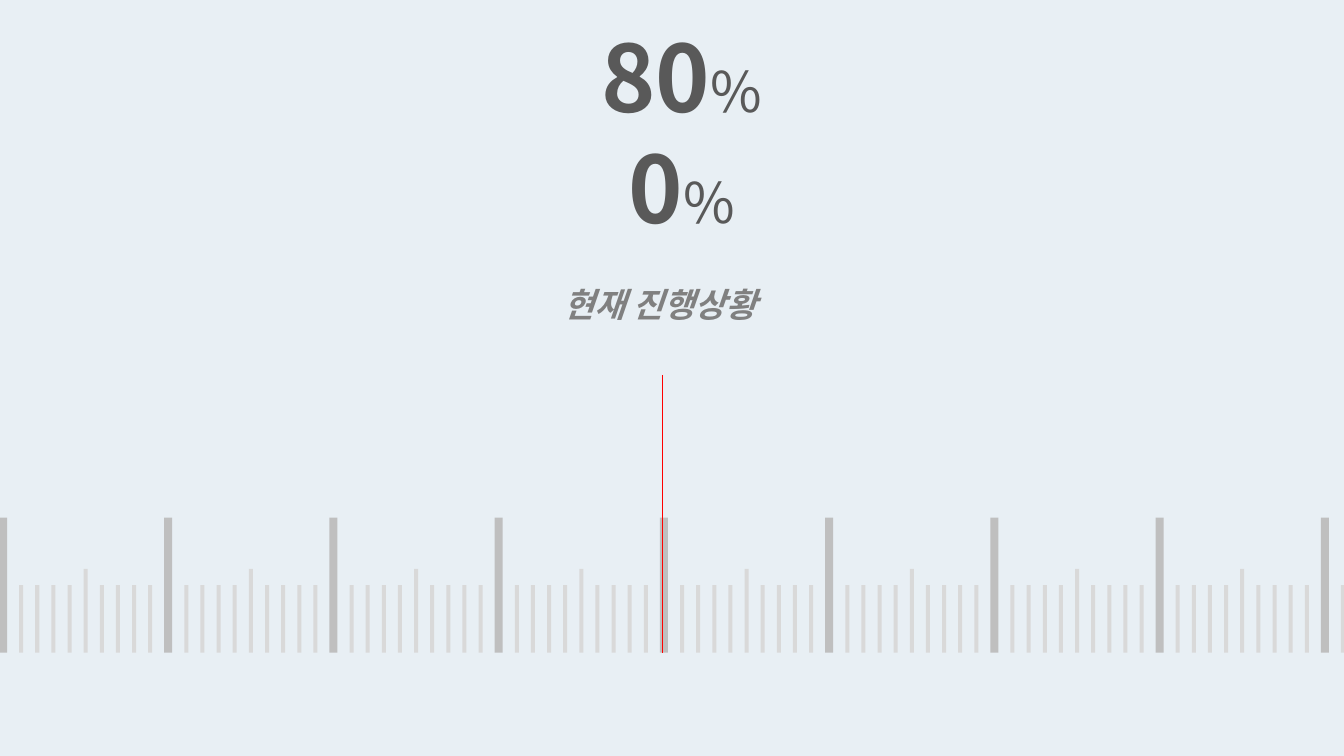
import pptx
import pptx.dml.color
import pptx.enum.shapes
import pptx.enum.text
import pptx.oxml.ns
import pptx.util
from lxml import etree

Inches = pptx.util.Inches


class RulerSlide:
    colours = {
        "background": "E8EFF4",
        "number": "595959",
        "caption": "808080",
        "major": "BFBFBF",
        "minor": "D9D9D9",
        "needle": "FF0000",
    }
    font_name = "Noto Sans CJK KR"
    baseline = 6.475

    def __init__(self, presentation):
        self.slide = presentation.slides.add_slide(presentation.slide_layouts[6])
        fill = self.slide.background.fill
        fill.solid()
        fill.fore_color.rgb = self.colour("background")

    def colour(self, name):
        return pptx.dml.color.RGBColor.from_string(self.colours[name])

    def text(self, left, top, width, height, paragraphs, colour, line_spacing=None):
        box = self.slide.shapes.add_textbox(
            Inches(left), Inches(top), Inches(width), Inches(height)
        )
        frame = box.text_frame
        frame.word_wrap = True
        frame.auto_size = pptx.enum.text.MSO_AUTO_SIZE.SHAPE_TO_FIT_TEXT
        for index, parts in enumerate(paragraphs):
            paragraph = frame.paragraphs[0] if index == 0 else frame.add_paragraph()
            paragraph.alignment = pptx.enum.text.PP_ALIGN.CENTER
            paragraph.line_spacing = line_spacing
            for content, size, bold, italic in parts:
                run = paragraph.add_run()
                run.text = content
                run.font.size = pptx.util.Pt(size)
                run.font.bold = bold
                run.font.italic = italic
                run.font.color.rgb = self.colour(colour)
                run.font.name = self.font_name
                east_asian = etree.SubElement(
                    run.font._element, pptx.oxml.ns.qn("a:ea")
                )
                east_asian.set("typeface", self.font_name)

    def tick(self, group, left, width, height, colour):
        shape = group.shapes.add_shape(
            pptx.enum.shapes.MSO_SHAPE.RECTANGLE,
            Inches(left), Inches(self.baseline - height), Inches(width), Inches(height),
        )
        shape.shadow.inherit = False
        shape.fill.solid()
        shape.fill.fore_color.rgb = self.colour(colour)
        shape.line.fill.background()

    def interval(self, left, minor_count):
        group = self.slide.shapes.add_group_shape()
        self.tick(group, left, 0.08, 1.34, "major")
        for index in range(minor_count):
            height = 0.83 if index == 4 else 0.67
            self.tick(group, left + 0.2 + 0.16 * index, 0.04, height, "minor")

    def needle(self, x, top):
        line = self.slide.shapes.add_connector(
            pptx.enum.shapes.MSO_CONNECTOR.STRAIGHT,
            Inches(x), Inches(top), Inches(x), Inches(self.baseline),
        )
        line.line.color.rgb = self.colour("needle")
        line.line.width = pptx.util.Pt(0.5)
        etree.SubElement(line._element.spPr, pptx.oxml.ns.qn("a:effectLst"))


def main():
    presentation = pptx.Presentation()
    presentation.slide_width = Inches(13.33)
    presentation.slide_height = Inches(7.5)
    ruler = RulerSlide(presentation)

    percentages = [
        [(number, 66, True, False), ("%", 40, False, False)] for number in ("80", "0")
    ]
    ruler.text(5.44, 0.15, 2.64, 2.32, percentages, "number")

    first, last, intervals = -0.01, 13.1, 8
    pitch = (last - first) / intervals
    for index in range(intervals):
        ruler.interval(first + pitch * index, 9)
    ruler.interval(last, 1)

    ruler.needle(6.57, 3.72)
    caption = [[("현재 진행상황", 24, True, True)]]
    ruler.text(3.53, 2.57, 6.03, 0.63, caption, "caption", 1.5)
    presentation.save("out.pptx")


if __name__ == "__main__":
    main()
